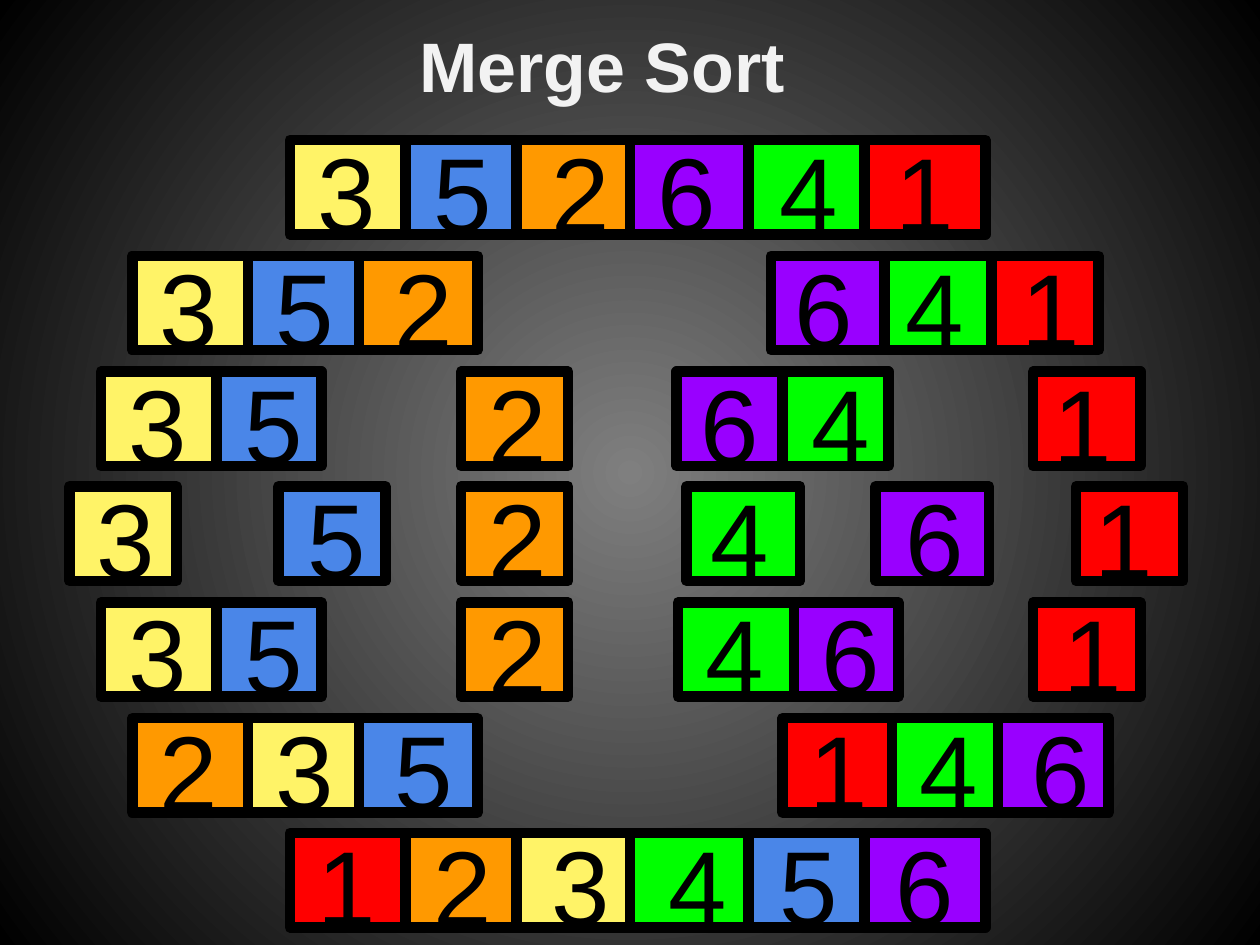
from dataclasses import dataclass, field
from itertools import accumulate, pairwise
from math import ceil

from lxml import etree
from pptx import Presentation
from pptx.dml.color import RGBColor
from pptx.enum.shapes import MSO_CONNECTOR, MSO_SHAPE
from pptx.enum.text import MSO_ANCHOR, MSO_AUTO_SIZE, PP_ALIGN
from pptx.oxml.ns import qn
from pptx.util import Emu, Pt

RECTANGLE = MSO_SHAPE.RECTANGLE
STRAIGHT = MSO_CONNECTOR.STRAIGHT
TOP = MSO_ANCHOR.TOP
NO_FIT = MSO_AUTO_SIZE.NONE
CENTER = PP_ALIGN.CENTER
EMU_PER_PX = 9144


@dataclass(frozen=True)
class Theme:
    """Colours, font and sizes of the slide."""
    font: str = "Arial"
    title_size: int = 40
    digit_size: int = 60
    line_width: int = 6
    ink: str = "000000"
    title: str = "F2F2F2"
    center: str = "7F7F7F"
    rim: str = "000000"
    digits: dict = field(default_factory=lambda: {
        "1": "FF0000", "2": "FF9900", "3": "FFF367",
        "4": "00FF00", "5": "4A86E8", "6": "9900FF"})


THEME = Theme()
PAGE_SIZE = (1000, 750)
TITLE_BOX = (278, 8, 400, 50)
FIRST_TOP, LAST_TOP = 111, 661
CELL_HEIGHT = 75
DIGIT_RISE, DIGIT_WIDTH, DIGIT_HEIGHT = 20, 64, 61
INSET = 10

FULL = (92, 88, 90, 94, 92, 96)
HALF = (92, 88, 94)
PAIR = (92, 83)
ONE = (85,)
WIDE_ONE = (90,)

# Each array is: left edge, digits, cell widths, digit indents.
LEVELS = [
    [(230, "352641", FULL, (12, 12, 18, 12, 15, 15))],
    [(105, "352", HALF, (12, 12, 18)), (612, "641", (90, 85, 85), (9, 7, 14))],
    [(80, "35", PAIR, (12, 12)), (366, "2", ONE, (12,)),
     (537, "64", (84, 84), (9, 13)), (820, "1", ONE, (6,))],
    [(55, "3", ONE, (12,)), (221, "5", ONE, (13,)), (366, "2", ONE, (12,)),
     (545, "4", WIDE_ONE, (9,)), (695, "6", WIDE_ONE, (14,)), (854, "1", ONE, (5,))],
    [(80, "35", PAIR, (12, 12)), (366, "2", ONE, (12,)),
     (538, "46", PAIR, (12, 12)), (820, "1", ONE, (14,))],
    [(105, "235", HALF, (12, 12, 18)), (621, "146", (87, 84, 88), (12, 12, 17))],
    [(230, "123456", FULL, (12, 12, 18, 21, 15, 15))],
]


def px(*lengths):
    """Turn px lengths into EMU."""
    return [Emu(length * EMU_PER_PX) for length in lengths]


def rgb(value):
    """Turn a hex string into a colour."""
    return RGBColor.from_string(value)


def write(box, text, size, color, bold=False, align=None):
    """Write one run into a box with equal insets."""
    frame = box.text_frame
    frame.word_wrap = True
    frame.auto_size = NO_FIT
    frame.vertical_anchor = TOP
    frame.margin_left, frame.margin_top, frame.margin_right, frame.margin_bottom = px(
        *[INSET] * 4)
    para = frame.paragraphs[0]
    para.alignment = align
    span = para.add_run()
    span.text = text
    span.font.name = THEME.font
    span.font.size = Pt(size)
    span.font.bold = bold
    span.font.color.rgb = rgb(color)


def draw_outline(line):
    """Give a line the theme colour and width."""
    line.color.rgb = rgb(THEME.ink)
    line.width = Pt(THEME.line_width)


def add_cell(shapes, digit, left, top, width, indent):
    """Add a coloured cell and its digit."""
    cell = shapes.add_shape(RECTANGLE, *px(left, top, width, CELL_HEIGHT))
    cell.shadow.inherit = False
    cell.fill.solid()
    cell.fill.fore_color.rgb = rgb(THEME.digits[digit])
    cell.line.fill.background()
    label = shapes.add_textbox(
        *px(left + indent, top - DIGIT_RISE, DIGIT_WIDTH, DIGIT_HEIGHT))
    write(label, digit, THEME.digit_size, THEME.ink)


def add_divider(shapes, left, top):
    """Add an upright line between two cells."""
    divider = shapes.add_connector(STRAIGHT, *px(left, top, left, top + CELL_HEIGHT))
    draw_outline(divider.line)
    etree.SubElement(divider.element.spPr, qn("a:effectLst"))


def add_frame(shapes, left, top, width):
    """Add the round-cornered outline of an array."""
    frame = shapes.add_shape(RECTANGLE, *px(left, top, width, CELL_HEIGHT))
    frame.shadow.inherit = False
    frame.fill.background()
    draw_outline(frame.line)
    etree.SubElement(frame.element.spPr.find(qn("a:ln")), qn("a:round"))


def add_array(page, top, left, digits, widths, indents):
    """Add one grouped array of digits."""
    shapes = page.shapes.add_group_shape().shapes
    edges = list(accumulate(widths, initial=left))
    for digit, (start, end), indent in zip(digits, pairwise(edges), indents):
        add_cell(shapes, digit, start, top, end - start, indent)
    for edge in edges[1:-1]:
        add_divider(shapes, edge, top)
    add_frame(shapes, left, top, sum(widths))


def add_background(page):
    """Fill the page with a circular gradient."""
    fill = page.background.fill
    fill.gradient()
    for stop, color, position in zip(fill.gradient_stops, (THEME.center, THEME.rim), (0, 1)):
        stop.color.rgb = rgb(color)
        stop.position = position
    gradient = page.element.find(".//" + qn("a:gradFill"))
    gradient.remove(gradient.find(qn("a:lin")))
    circle = etree.Element(qn("a:path"), {"path": "circle"})
    etree.SubElement(circle, qn("a:fillToRect"), dict.fromkeys("ltrb", "50000"))
    gradient.find(qn("a:gsLst")).addnext(circle)


def add_title(page, text):
    """Place and write the title."""
    title = page.shapes.title
    title.left, title.top, title.width, title.height = px(*TITLE_BOX)
    write(title, text, THEME.title_size, THEME.title, bold=True, align=CENTER)


def add_levels(page):
    """Add the levels of the sort at equal steps."""
    step = (LAST_TOP - FIRST_TOP) / (len(LEVELS) - 1)
    for row, arrays in enumerate(LEVELS):
        for array in arrays:
            add_array(page, ceil(FIRST_TOP + row * step), *array)


def main():
    """Build and save the deck."""
    deck = Presentation()
    deck.slide_width, deck.slide_height = px(*PAGE_SIZE)
    page = deck.slides.add_slide(deck.slide_layouts.get_by_name("Title Only"))
    add_background(page)
    add_title(page, "Merge Sort")
    add_levels(page)
    deck.save("out.pptx")


if __name__ == "__main__":
    main()
